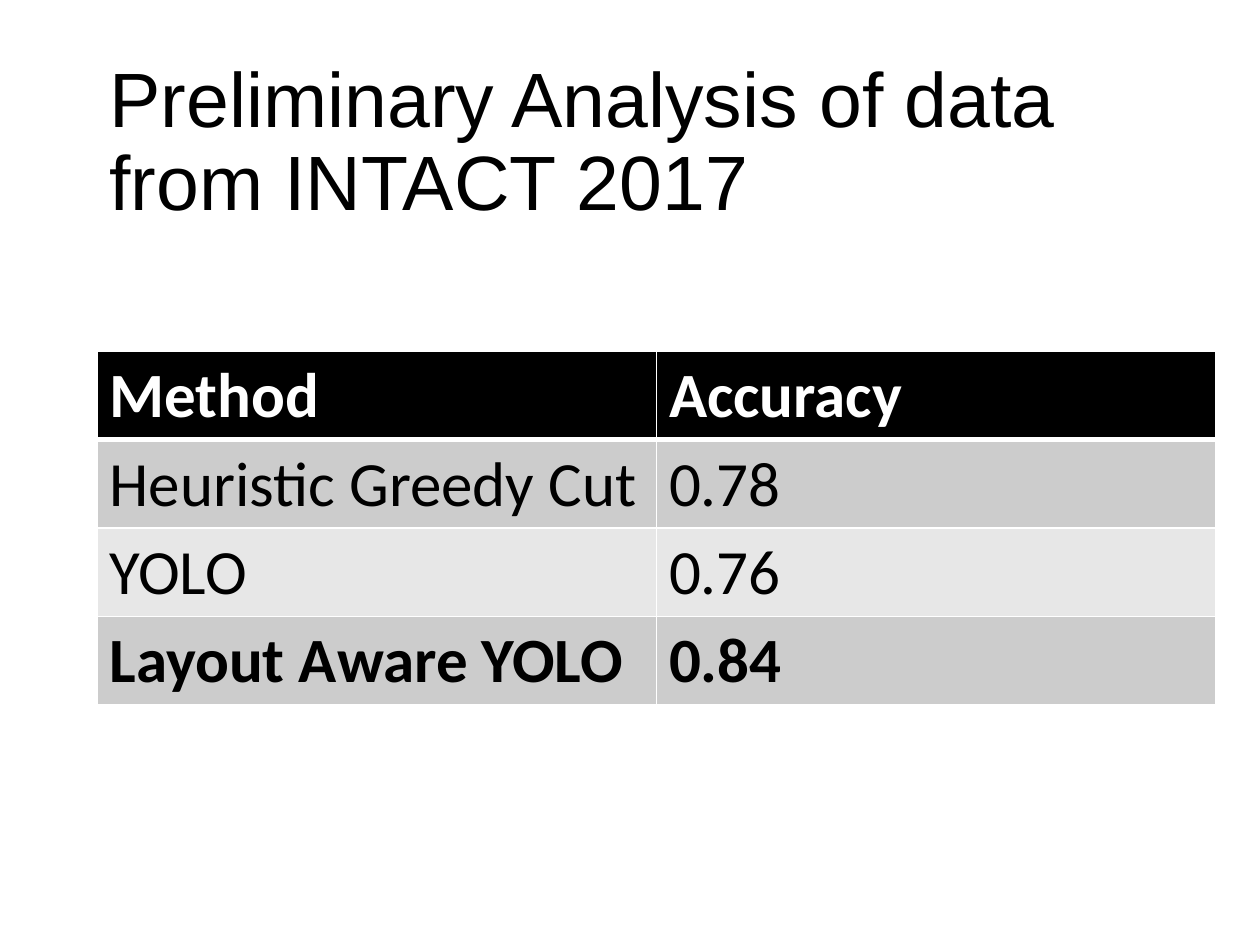
from lxml import etree
from pptx import Presentation
from pptx.dml.color import RGBColor
from pptx.enum.text import MSO_ANCHOR
from pptx.oxml.ns import qn
from pptx.util import Inches, Pt

BOTTOM = MSO_ANCHOR.BOTTOM
BLACK = RGBColor(0x00, 0x00, 0x00)
WHITE = RGBColor(0xFF, 0xFF, 0xFF)
DARK_BAND = RGBColor(0xCC, 0xCC, 0xCC)
LIGHT_BAND = RGBColor(0xE7, 0xE7, 0xE7)

RESULTS = [
    ("Method", "Accuracy"),
    ("Heuristic Greedy Cut", "0.78"),
    ("YOLO", "0.76"),
    ("Layout Aware YOLO", "0.84"),
]


def write_text(text_frame, text, *, font, size, color, bold=False, line_spacing=None):
    """Write one formatted paragraph into a text frame."""
    paragraph = text_frame.paragraphs[0]
    paragraph.line_spacing = line_spacing
    run = paragraph.add_run()
    run.text = text
    run.font.name = font
    run.font.size = Pt(size)
    run.font.bold = bold
    run.font.color.rgb = color


def set_borders(cell, **widths):
    """Draw white cell borders with the given widths in points by side."""
    properties = cell._tc.get_or_add_tcPr()
    for position, side in enumerate("LRTB"):
        line = etree.Element(qn(f"a:ln{side}"), w=str(Pt(widths.get(side, 1))))
        fill = etree.SubElement(line, qn("a:solidFill"))
        etree.SubElement(fill, qn("a:srgbClr"), val=str(WHITE))
        properties.insert(position, line)


def add_title(slide, left, top, width, height):
    """Place the slide title at the bottom of its box."""
    text_frame = slide.shapes.add_textbox(left, top, width, height).text_frame
    text_frame.word_wrap = True
    text_frame.vertical_anchor = BOTTOM
    write_text(text_frame, "Preliminary Analysis of data from INTACT 2017",
               font="Arial", size=44, color=BLACK, line_spacing=0.9)


def add_results_table(slide, left, top, width, height):
    """Place the accuracy table with a black header and grey bands."""
    table = slide.shapes.add_table(
        len(RESULTS), len(RESULTS[0]), left, top, width, height).table
    table.horz_banding = False
    last_row = len(RESULTS) - 1
    for row, values in enumerate(RESULTS):
        header = row == 0
        band = DARK_BAND if row % 2 else LIGHT_BAND
        for column, value in enumerate(values):
            cell = table.cell(row, column)
            cell.fill.solid()
            cell.fill.fore_color.rgb = BLACK if header else band
            set_borders(cell, T=3 if row == 1 else 1, B=3 if header else 1)
            write_text(cell.text_frame, value, font="Calibri", size=36,
                       color=WHITE if header else BLACK,
                       bold=row in (0, last_row))


def main():
    """Build and save the presentation."""
    presentation = Presentation()
    presentation.slide_width = Inches(10)
    presentation.slide_height = Inches(7.5)
    slide = presentation.slides.add_slide(presentation.slide_layouts[6])
    add_title(slide, Inches(0.77), Inches(0), Inches(8.48), Inches(1.85))
    add_results_table(slide, Inches(0.77), Inches(2.79), Inches(8.88), Inches(2.8))
    presentation.save("out.pptx")


if __name__ == "__main__":
    main()
